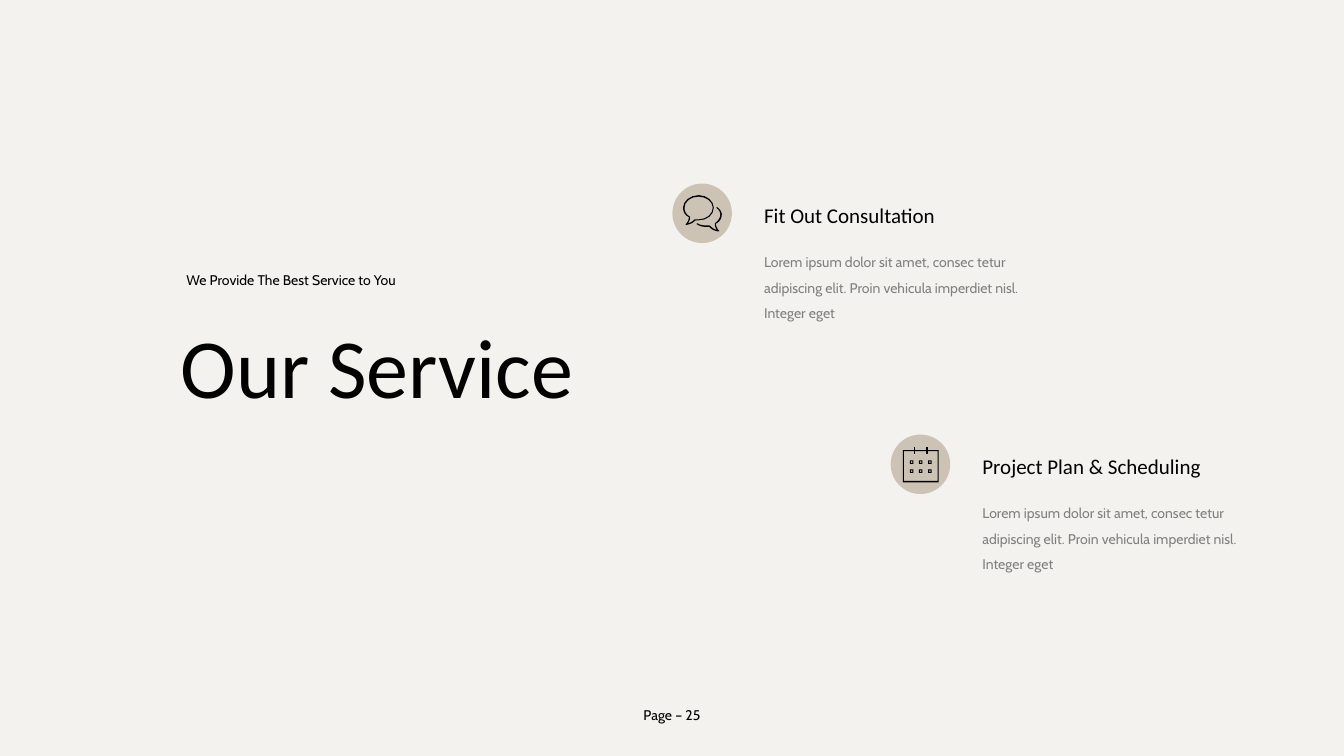
"""Build the "Our Service" slide with two services, each marked by a round icon."""
from pptx import Presentation
from pptx.dml.color import RGBColor
from pptx.enum.shapes import MSO_SHAPE
from pptx.enum.text import MSO_ANCHOR, MSO_AUTO_SIZE, PP_ALIGN
from pptx.util import Cm, Pt

CREAM = RGBColor(0xF3, 0xF2, 0xEE)
SAND = RGBColor(0xCC, 0xC3, 0xB4)
BLACK = RGBColor(0x00, 0x00, 0x00)
GRAY = RGBColor(0x80, 0x80, 0x80)

ICON_SIZE = Cm(3)
ICON_UNIT = ICON_SIZE / 118
CURVE_STEPS = 4

LEFT_BUBBLE = [
    [(27, 82), (26, 81), (27, 80), (27, 80, 32, 75, 33, 67), (25, 63, 21, 56, 21, 48),
     (21, 35, 35, 23, 52, 23), (69, 23, 82, 35, 82, 48), (82, 62, 69, 73, 52, 73),
     (46, 73), (39, 81, 28, 82, 27, 82)],
    [(52, 26), (36, 26, 24, 36, 24, 48), (24, 56, 27, 61, 35, 66), (35, 67),
     (35, 72, 33, 76, 31, 79), (34, 78, 40, 76, 44, 71), (45, 71), (52, 71),
     (67, 71, 80, 61, 80, 48), (80, 36, 67, 26, 52, 26)],
]
RIGHT_BUBBLE = [
    [(91, 95), (91, 95, 79, 94, 73, 86), (67, 86), (59, 86, 53, 84, 49, 81),
     (48, 80), (48, 79), (50, 79), (54, 82, 60, 83, 67, 83),
     (73, 83), (75, 84), (79, 89, 85, 91, 88, 92),
     (86, 89, 84, 85, 84, 80), (84, 79), (91, 74, 95, 68, 95, 61),
     (95, 58, 93, 52, 88, 49), (87, 48), (88, 47), (89, 47),
     (95, 51, 98, 57, 98, 61), (98, 69, 94, 76, 86, 80), (87, 88, 92, 93, 92, 93),
     (93, 94), (92, 95)],
]


def box(left, top, right, bottom):
    """Return the contour of a rectangle."""
    return [(left, top), (right, top), (right, bottom), (left, bottom)]


def draw_icon_part(slide, left, top, contours):
    """Draw contours of straight (x, y) and cubic (six-number) steps in black."""
    builder = None
    for start, *steps in contours:
        points = [start]
        for step in steps:
            if len(step) == 2:
                points.append(step)
                continue
            x0, y0 = points[-1]
            x1, y1, x2, y2, x3, y3 = step
            for index in range(1, CURVE_STEPS + 1):
                t = index / CURVE_STEPS
                a, b, c, d = (1 - t) ** 3, 3 * t * (1 - t) ** 2, 3 * t * t * (1 - t), t ** 3
                points.append((a * x0 + b * x1 + c * x2 + d * x3,
                               a * y0 + b * y1 + c * y2 + d * y3))
        points = [(round(x * ICON_UNIT), round(y * ICON_UNIT)) for x, y in points]
        if builder is None:
            builder = slide.shapes.build_freeform(*points[0])
        else:
            builder.move_to(*points[0])
        builder.add_line_segments(points[1:], close=True)
    shape = builder.convert_to_shape(left, top)
    shape.shadow.inherit = False
    shape.fill.solid()
    shape.fill.fore_color.rgb = BLACK
    shape.line.fill.background()


presentation = Presentation()
presentation.slide_width = Cm(67.72)
presentation.slide_height = Cm(38.1)
slide = presentation.slides.add_slide(presentation.slide_layouts[5])
slide.background.fill.solid()
slide.background.fill.fore_color.rgb = CREAM

calendar = [[box(24, 31, 95, 95), box(26, 33, 93, 92)]]
calendar += [[box(x, 24, x + 3, 38)] for x in (46, 70)]
for y in (51, 69):
    for x in (38, 56, 74):
        calendar.append([box(x, y, x + 7, y + 7), box(x + 2, y + 2, x + 5, y + 5)])

services = [
    ("Fit Out Consultation", Cm(33.88), Cm(9.25), [LEFT_BUBBLE, RIGHT_BUBBLE]),
    ("Project Plan & Scheduling", Cm(44.88), Cm(21.9), calendar),
]
description = ("Lorem ipsum dolor sit amet, consec tetur adipiscing elit. "
               "Proin vehicula imperdiet nisl. Integer eget")

texts = [
    ("Our Service", Cm(8.84), Cm(13.16), Cm(32.59), Cm(7.95),
     "Calibri", 120, BLACK, PP_ALIGN.LEFT, MSO_ANCHOR.TOP),
    ("Page – 25", Cm(26.06), Cm(35.15), Cm(15.6), Cm(1.37),
     "Cabin", 20, BLACK, PP_ALIGN.CENTER, MSO_ANCHOR.MIDDLE),
    ("We Provide The Best Service to You", Cm(9.14), Cm(13.16), Cm(16.92), Cm(1.37),
     "Cabin", 20, BLACK, PP_ALIGN.JUSTIFY, MSO_ANCHOR.TOP),
]
for name, left, top, parts in services:
    text_left = left + Cm(4.37)
    texts.append((name, text_left, top + Cm(0.18), Cm(13.59), Cm(1.96),
                  "Calibri", 30, BLACK, PP_ALIGN.LEFT, MSO_ANCHOR.TOP))
    texts.append((description, text_left, top + Cm(3), Cm(13.59), Cm(4.55),
                  "Cabin", 20, GRAY, PP_ALIGN.LEFT, MSO_ANCHOR.TOP))

for text, left, top, width, height, font_name, size, color, alignment, anchor in texts:
    if text == "Our Service":
        shape = slide.shapes.title
        shape.left, shape.top, shape.width, shape.height = left, top, width, height
    else:
        shape = slide.shapes.add_textbox(left, top, width, height)
    text_frame = shape.text_frame
    text_frame.text = text
    text_frame.word_wrap = True
    text_frame.auto_size = MSO_AUTO_SIZE.NONE
    text_frame.vertical_anchor = anchor
    paragraph = text_frame.paragraphs[0]
    paragraph.alignment = alignment
    paragraph.line_spacing = 1.5
    font = paragraph.runs[0].font
    font.name = font_name
    font.size = Pt(size)
    font.color.rgb = color

for name, left, top, parts in services:
    circle = slide.shapes.add_shape(MSO_SHAPE.OVAL, left, top, ICON_SIZE, ICON_SIZE)
    circle.shadow.inherit = False
    circle.fill.solid()
    circle.fill.fore_color.rgb = SAND
    circle.line.fill.background()
    for contours in parts:
        draw_icon_part(slide, left, top, contours)

presentation.save("out.pptx")
